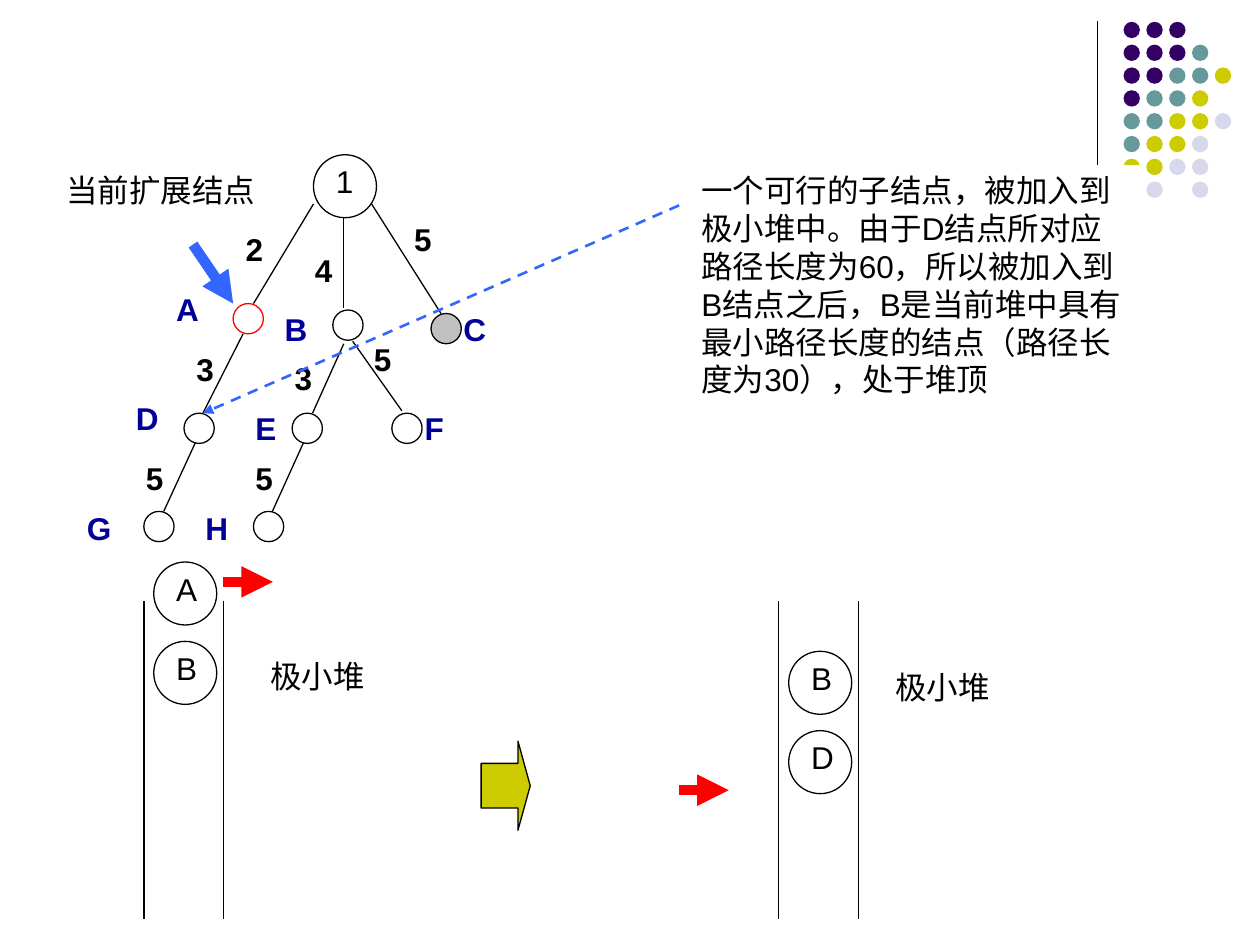
from dataclasses import dataclass
from typing import Optional

from lxml import etree
from pptx import Presentation
from pptx import util as u
from pptx.dml.color import RGBColor
from pptx.enum import dml, shapes, text
from pptx.oxml import ns

COLORS = {
    "black": "000000", "white": "FFFFFF", "red": "FF0000", "blue": "3366FF",
    "navy": "000099", "gray": "C0C0C0", "purple": "330066", "teal": "669999",
    "olive": "CCCC00", "pale": "D8D8EC",
}
DOTS = ["PPP", "PPPT", "PPTTY", "PTTY", "TTYYL", "TYYL", "YYLL", " L L"]
DOT_COLORS = {"P": "purple", "T": "teal", "Y": "olive", "L": "pale"}
DOT, DOT_STEP = 0.33, 0.46
SMALL, BIG = 0.61, 1.27
ROW = 1.02  # height of a one-line label
Point = tuple[float, float]


@dataclass
class Node:
    name: str
    at: Point
    label: Point
    line: str = "black"
    fill: Optional[str] = None


@dataclass
class Edge:
    start: Point
    end: Point
    cost: str
    label: Point


@dataclass
class Heap:
    left: float
    items: str
    top: float
    caption: Point


NODES = [
    Node("A", (4.7, 6.12), (3.3, 5.72), line="red"),
    Node("B", (6.71, 6.25), (5.49, 6.12)),
    Node("C", (8.69, 6.32), (9.09, 6.12), fill="gray"),
    Node("D", (3.71, 8.33), (2.49, 7.92)),
    Node("E", (5.89, 8.33), (4.9, 8.13)),
    Node("F", (7.9, 8.33), (8.31, 8.13)),
    Node("G", (2.9, 10.31), (1.5, 10.13)),
    Node("H", (5.11, 10.31), (3.89, 10.13)),
]
EDGES = [
    Edge((6.32, 4.11), (5.11, 6.12), "2", (4.7, 4.52)),
    Edge((6.93, 4.39), (6.93, 6.2), "4", (6.1, 4.93)),
    Edge((7.49, 4.11), (8.89, 6.32), "5", (8.1, 4.32)),
    Edge((4.9, 6.73), (4.09, 8.33), "3", (3.71, 6.93)),
    Edge((6.93, 6.93), (6.3, 8.33), "3", (5.69, 7.11)),
    Edge((7.11, 6.88), (8.1, 8.28), "5", (7.29, 6.73)),
    Edge((3.94, 8.92), (3.3, 10.31), "5", (2.69, 9.12)),
    Edge((6.12, 8.92), (5.49, 10.31), "5", (4.9, 9.12)),
]
HEAPS = [
    Heap(2.9, "AB", 11.33, (4.9, 13.13)),
    Heap(15.7, "BD", 13.13, (17.5, 13.34)),
]
HEAP_WIDTH, HEAP_TOP, HEAP_BASE, HEAP_STEP = 1.6, 12.12, 18.52, 1.6
NOTE = ("一个可行的子结点，被加入到极小堆中。由于D结点所对应路径长度为60，"
        "所以被加入到B结点之后，B是当前堆中具有最小路径长度的结点"
        "（路径长度为30），处于堆顶")

deck = Presentation()
deck.slide_width, deck.slide_height = u.Cm(25.4), u.Cm(19.05)
slide = deck.slides.add_slide(deck.slide_layouts[6])


def rgb(name: str) -> RGBColor:
    return RGBColor.from_string(COLORS[name])


def write(words: str, at: Point, width: float = 1.07, height: float = ROW, *,
          color: str = "black", bold: bool = False, center: bool = False,
          fill: Optional[str] = None) -> None:
    box = slide.shapes.add_textbox(*map(u.Cm, (*at, width, height)))
    if fill:
        box.fill.solid()
        box.fill.fore_color.rgb = rgb(fill)
    box.text_frame.word_wrap = True
    par = box.text_frame.paragraphs[0]
    par.alignment = text.PP_ALIGN.CENTER if center else text.PP_ALIGN.LEFT
    run = par.add_run()
    run.text = words
    run.font.name, run.font.size, run.font.bold = "Arial", u.Pt(18), bold
    run.font.color.rgb = rgb(color)


def shape(at: Point, width: float, height: float, *,
          kind: shapes.MSO_SHAPE = shapes.MSO_SHAPE.OVAL,
          fill: Optional[str] = None, line: Optional[str] = "black"):
    item = slide.shapes.add_shape(kind, *map(u.Cm, (*at, width, height)))
    item.shadow.inherit = False
    if fill:
        item.fill.solid()
        item.fill.fore_color.rgb = rgb(fill)
    else:
        item.fill.background()
    if line:
        item.line.color.rgb = rgb(line)
        item.line.width = u.Pt(0.75)
    else:
        item.line.fill.background()
    return item


def link(start: Point, end: Point, *, color: str = "black",
         width: float = 0.75, dash: bool = False, arrow: bool = False) -> None:
    item = slide.shapes.add_connector(
        shapes.MSO_CONNECTOR.STRAIGHT, *map(u.Cm, (*start, *end)))
    item.line.color.rgb = rgb(color)
    item.line.width = u.Pt(width)
    if dash:
        item.line.dash_style = dml.MSO_LINE.DASH
    if arrow:
        etree.SubElement(item.line._get_or_add_ln(), ns.qn("a:tailEnd"),
                         type="triangle")
    etree.SubElement(item._element.spPr, ns.qn("a:effectLst"))


def disc(name: str, at: Point) -> None:
    """Draw a large circle with its name inside."""
    shape(at, BIG, BIG)
    write(name, (at[0] + 0.2, at[1] + 0.03))


def draw_dots() -> None:
    link((22.12, 0.43), (22.12, 4.65))
    for row, marks in enumerate(DOTS):
        for col, mark in enumerate(marks):
            if mark != " ":
                at = (22.65 + col * DOT_STEP, 0.44 + row * DOT_STEP)
                shape(at, DOT, DOT, fill=DOT_COLORS[mark], line=None)


def draw_tree() -> None:
    disc("1", (6.32, 3.12))
    for edge in EDGES:
        link(edge.start, edge.end)
        write(edge.cost, edge.label, bold=True)
    for node in NODES:
        shape(node.at, SMALL, SMALL, fill=node.fill, line=node.line)
        write(node.name, node.label, 1.4, color="navy", bold=True)


def draw_heap(heap: Heap) -> None:
    for x in (heap.left, heap.left + HEAP_WIDTH):
        link((x, HEAP_TOP), (x, HEAP_BASE))
    for i, name in enumerate(heap.items):
        disc(name, (heap.left + 0.2, heap.top + i * HEAP_STEP))
    write("极小堆", heap.caption, 3, center=True)


def main() -> None:
    draw_dots()
    draw_tree()
    write("当前扩展结点", (1.09, 3.33), 4.6)
    link((3.89, 4.93), (4.7, 6.12), color="blue", width=6, arrow=True)
    link((13.69, 4.14), (4.09, 8.33), color="blue", width=1.5,
         dash=True, arrow=True)
    write(NOTE, (13.89, 3.33), 9.17, 4.83, fill="white")
    for heap in HEAPS:
        draw_heap(heap)
    for x, y in ((4.5, 11.73), (13.69, 15.93)):
        link((x, y), (x + 1, y), color="red", width=6, arrow=True)
    step = shape((9.7, 14.94), 0.99, 1.8, fill="olive",
                 kind=shapes.MSO_SHAPE.RIGHT_ARROW)
    step.adjustments[0], step.adjustments[1] = 0.5, 0.25
    deck.save("out.pptx")


if __name__ == "__main__":
    main()
